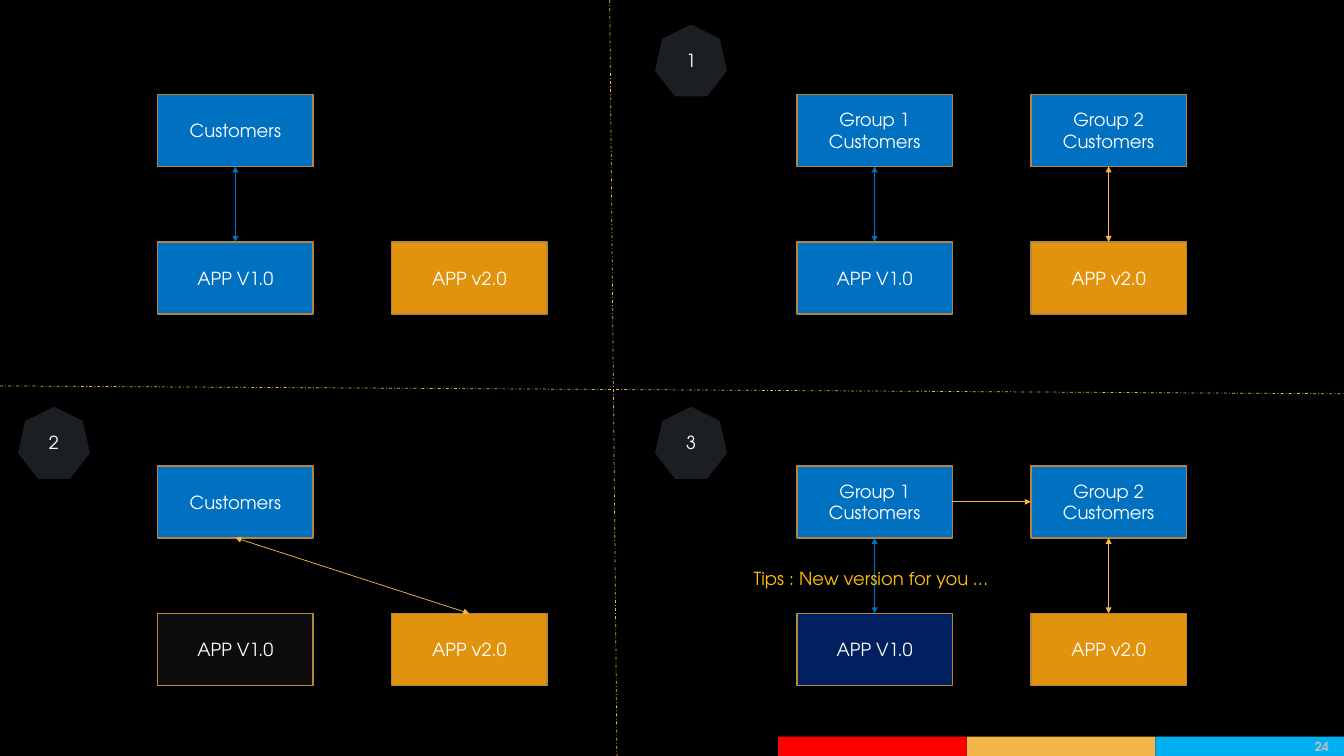
from lxml import etree
from pptx import Presentation
from pptx.dml.color import RGBColor
from pptx.enum.dml import MSO_LINE
from pptx.enum.shapes import MSO_CONNECTOR, MSO_SHAPE
from pptx.enum.text import MSO_ANCHOR, PP_ALIGN
from pptx.oxml.ns import qn
from pptx.util import Inches, Pt

RECTANGLE, HEPTAGON = MSO_SHAPE.RECTANGLE, MSO_SHAPE.HEPTAGON
STRAIGHT, DASH_DOT = MSO_CONNECTOR.STRAIGHT, MSO_LINE.DASH_DOT
CENTER, RIGHT, LEFT = PP_ALIGN.CENTER, PP_ALIGN.RIGHT, PP_ALIGN.LEFT
MIDDLE = MSO_ANCHOR.MIDDLE

FONT = "TeX Gyre Adventor"
SLIDE_W, SLIDE_H = 18.67, 10.5
BOX_W, BOX_H = 2.16, 1
COLUMN_STEP = 3.25
BLUE, ORANGE, GOLD = "0070C0", "E1930E", "F4B54B"
NAVY, NEAR_BLACK, SLATE = "002060", "0D0D0D", "1B1E23"
BRONZE, WHITE = "B58637", "FFFFFF"
TOP, SIDE_LEFT, BOTTOM, SIDE_RIGHT = range(4)
GROUPS = ("Group 1\nCustomers", "Group 2\nCustomers")


def color(value):
    """Turn a hex string into a colour."""
    return RGBColor.from_string(value)


def write(frame, text, ink=WHITE, size=18, align=CENTER, bold=False):
    """Fill a text frame with one paragraph per line of text."""
    frame.vertical_anchor = MIDDLE
    frame.margin_left = frame.margin_right = 0
    frame.margin_top = frame.margin_bottom = 0
    frame.text = text
    for paragraph in frame.paragraphs:
        paragraph.alignment = align
        paragraph.font.name = FONT
        paragraph.font.size = Pt(size)
        paragraph.font.bold = bold
        paragraph.font.color.rgb = color(ink)


def add_block(slide, box, fill, text="", outline=None, kind=RECTANGLE):
    """Draw a filled shape in a box, with optional text and outline."""
    block = slide.shapes.add_shape(kind, *map(Inches, box))
    block.shadow.inherit = False
    block.fill.solid()
    block.fill.fore_color.rgb = color(fill)
    if outline:
        block.line.color.rgb = color(outline)
        block.line.width = Pt(1.5)
    else:
        block.line.fill.background()
    if text:
        write(block.text_frame, text)
    return block


def add_label(slide, box, text, ink, size, align, bold=False):
    """Place a text label in a box."""
    label = slide.shapes.add_textbox(*map(Inches, box))
    label.text_frame.word_wrap = True
    write(label.text_frame, text, ink, size, align, bold)


def add_line(slide, ends, ink):
    """Draw a thin straight line between two points."""
    line = slide.shapes.add_connector(STRAIGHT, *map(Inches, ends))
    line.line.color.rgb = color(ink)
    line.line.width = Pt(0.75)
    etree.SubElement(line._element.spPr, qn("a:effectLst"))
    return line


def link(slide, source, target, ink, sites=(BOTTOM, TOP), both=True):
    """Join two blocks with an arrow glued to their sides."""
    arrow = add_line(slide, (0, 0, 1, 1), ink)
    arrow.begin_connect(source, sites[0])
    arrow.end_connect(target, sites[1])
    outline = arrow.line._get_or_add_ln()
    for end in ("a:headEnd", "a:tailEnd") if both else ("a:tailEnd",):
        etree.SubElement(outline, qn(end), type="triangle")


def add_stage(slide, left, top, customers, links, old_fill=BLUE, badge=None):
    """Draw one rollout stage from its top left block and return the customer blocks."""
    def row(texts, fills, y):
        return [
            add_block(slide, (left + i * COLUMN_STEP, y, BOX_W, BOX_H), fill, text, BRONZE)
            for i, (text, fill) in enumerate(zip(texts, fills))
        ]

    users = row(customers, (BLUE, BLUE), top)
    apps = row(("APP V1.0", "APP v2.0"), (old_fill, ORANGE), top + 2.05)
    for user, app, ink in links:
        link(slide, users[user], apps[app], ink)
    if badge:
        number, x, y = badge
        add_block(slide, (x, y, 1, 1), SLATE, number, kind=HEPTAGON)
    return users


def add_dividers(slide):
    """Split the slide into four quarters with dashed lines."""
    for ends in ((0, 5.36, SLIDE_W, 5.47), (8.47, 0, 8.57, SLIDE_H)):
        add_line(slide, ends, GOLD).line.dash_style = DASH_DOT


def add_footer(slide, left, top, width, height):
    """Draw the tricolour footer bar with the page number."""
    band = width / 3
    for i, fill in enumerate(("FF0000", GOLD, "00B0F0")):
        add_block(slide, (left + i * band, top, band, height), fill)
    add_label(slide, (left + width - 0.95, top, 0.74, height), "24", "BFBFBF", 12.6, RIGHT, True)


def main():
    """Build the slide and save it."""
    deck = Presentation()
    deck.slide_width, deck.slide_height = Inches(SLIDE_W), Inches(SLIDE_H)
    slide = deck.slides.add_slide(deck.slide_layouts[6])
    slide.background.fill.solid()
    slide.background.fill.fore_color.rgb = color("000000")

    add_footer(slide, 10.81, 10.23, 7.86, 0.27)
    add_dividers(slide)

    straight_links = ((0, 0, BLUE), (1, 1, GOLD))
    add_stage(slide, 2.19, 1.31, ("Customers",), straight_links[:1])
    add_stage(slide, 11.07, 1.31, GROUPS, straight_links, badge=("1", 9.1, 0.34))
    add_stage(slide, 2.19, 6.47, ("Customers",), ((0, 1, GOLD),), NEAR_BLACK, ("2", 0.25, 5.65))
    group_1, group_2 = add_stage(
        slide, 11.07, 6.47, GROUPS, straight_links, NAVY, ("3", 9.1, 5.65)
    )
    link(slide, group_1, group_2, GOLD, (SIDE_RIGHT, SIDE_LEFT), both=False)
    add_label(slide, (10.47, 7.83, 3.56, 0.4), "Tips : New version for you …", "FFC000", 18, LEFT)

    deck.save("out.pptx")


if __name__ == "__main__":
    main()
